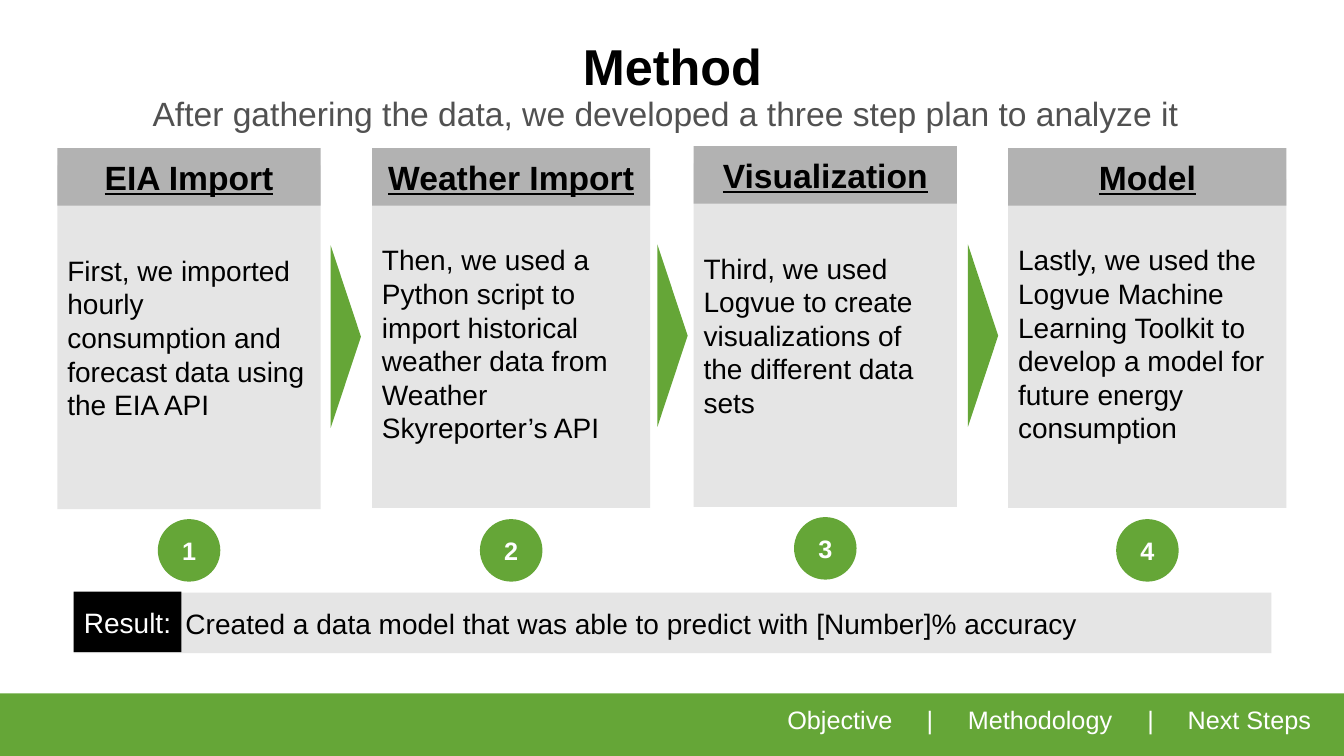
from dataclasses import dataclass

import pptx
import pptx.dml.color
import pptx.enum.shapes
import pptx.enum.text
import pptx.oxml
import pptx.oxml.ns
import pptx.util

Inches = pptx.util.Inches
Shape = pptx.enum.shapes.MSO_SHAPE
Align = pptx.enum.text.PP_ALIGN
Anchor = pptx.enum.text.MSO_ANCHOR


@dataclass(frozen=True)
class Theme:
    font: str = "Arial"
    green: str = "65A637"
    panel: str = "E5E5E5"
    header: str = "B2B2B2"
    black: str = "000000"
    white: str = "FFFFFF"
    muted: str = "515151"
    title: int = 36
    heading: int = 24
    body: int = 20
    small: int = 18


def write(frame, text, *, size, color, font, bold=False, underline=False,
          align=Align.LEFT, anchor=Anchor.MIDDLE, spacing=None,
          insets=(0.1, 0.05, 0.1, 0.05), tabs=()):
    frame.word_wrap = True
    frame.vertical_anchor = anchor
    frame.margin_left, frame.margin_top, frame.margin_right, frame.margin_bottom = map(Inches, insets)
    paragraph = frame.paragraphs[0]
    paragraph.alignment = align
    if spacing:
        paragraph.line_spacing = spacing
    if tabs:
        properties = paragraph._p.get_or_add_pPr()
        tab_list = pptx.oxml.parse_xml(f"<a:tabLst {pptx.oxml.ns.nsdecls('a')}/>")
        for position in tabs:
            tab_list.append(pptx.oxml.parse_xml(
                f"<a:tab {pptx.oxml.ns.nsdecls('a')} pos=\"{Inches(position)}\" algn=\"l\"/>"))
        properties.append(tab_list)
    run = paragraph.add_run()
    run.text = text
    run.font.name = font
    run.font.size = pptx.util.Pt(size)
    run.font.bold = bold
    run.font.underline = underline
    run.font.color.rgb = pptx.dml.color.RGBColor.from_string(color)


class MethodSlide:
    def __init__(self, presentation, theme):
        self.theme = theme
        self.slide = presentation.slides.add_slide(presentation.slide_layouts[6])

    def label(self, box, text, **style):
        frame = self.slide.shapes.add_textbox(*map(Inches, box)).text_frame
        write(frame, text, font=self.theme.font, anchor=Anchor.TOP, **style)

    def block(self, box, fill, text=None, kind=Shape.RECTANGLE, **style):
        block = self.slide.shapes.add_shape(kind, *map(Inches, box))
        block.shadow.inherit = False
        block.fill.solid()
        block.fill.fore_color.rgb = pptx.dml.color.RGBColor.from_string(fill)
        block.line.fill.background()
        if text:
            write(block.text_frame, text, font=self.theme.font, **style)
        return block

    def arrow(self, center_x, center_y):
        length, thickness = 1.81, 0.3
        box = (center_x - length / 2, center_y - thickness / 2, length, thickness)
        self.block(box, self.theme.green, kind=Shape.ISOSCELES_TRIANGLE).rotation = 90

    def step(self, number, heading, description, left, top, width, body_offset, bottom):
        theme = self.theme
        body_top = top + body_offset
        self.block((left, body_top, width, bottom - body_top), theme.panel, description,
                   size=theme.body, color=theme.black)
        self.block((left, top, width, 0.57), theme.header, heading, size=theme.heading,
                   color=theme.black, bold=True, underline=True, align=Align.CENTER)
        diameter = 0.62
        self.block((left + (width - diameter) / 2, top + 3.68, diameter, diameter), theme.green,
                   str(number), kind=Shape.OVAL, size=theme.small, color=theme.white,
                   bold=True, align=Align.CENTER, insets=(0, 0.05, 0, 0.05))


def main():
    presentation = pptx.Presentation()
    presentation.slide_width, presentation.slide_height = Inches(13.33), Inches(7.5)
    theme = Theme()
    page = MethodSlide(presentation, theme)

    page.block((0, 6.88, 13.33, 0.62), theme.green)
    page.label((7.81, 6.99, 5.24, 0.3), "Objective\t|\tMethodology\t|\tNext Steps",
               size=theme.small, color=theme.white, insets=(0, 0, 0, 0),
               tabs=(1.38, 1.79, 3.57, 3.97))
    page.label((0.5, 0.34, 12.34, 0.49), "Method", size=theme.title, color=theme.black,
               bold=True, align=Align.CENTER, spacing=0.86, insets=(0, 0.09, 0, 0))
    page.label((0.37, 0.96, 12.46, 0.31),
               "After gathering the data, we developed a three step plan to analyze it",
               size=theme.heading, color=theme.muted, align=Align.CENTER, spacing=0.92,
               insets=(0, 0, 0, 0.05))

    steps = [
        ("EIA Import", "First, we imported hourly consumption and forecast data using the EIA API",
         0.57, 1.47, 2.61, 0.17, 5.05),
        ("Weather Import", "Then, we used a Python script to import historical weather data "
         "from Weather Skyreporter’s API", 3.69, 1.47, 2.76, 0.31, 5.04),
        ("Visualization", "Third, we used Logvue to create visualizations of the different data sets",
         6.88, 1.45, 2.61, 0.17, 5.03),
        ("Model", "Lastly, we used the Logvue Machine Learning Toolkit to develop a model "
         "for future energy consumption", 10, 1.47, 2.76, 0.31, 5.04),
    ]
    for number, step in enumerate(steps, 1):
        page.step(number, *step)
    for center_x, center_y in ((3.43, 3.34), (6.67, 3.33), (9.75, 3.33)):
        page.arrow(center_x, center_y)

    page.block((0.73, 5.88, 11.88, 0.6), theme.panel,
               "Created a data model that was able to predict with [Number]% accuracy",
               size=theme.body, color=theme.black, insets=(1.11, 0.05, 0.1, 0.05))
    page.block((0.73, 5.87, 1.07, 0.6), theme.black, "Result:", size=theme.body,
               color=theme.white, align=Align.CENTER)
    presentation.save("out.pptx")


if __name__ == "__main__":
    main()
